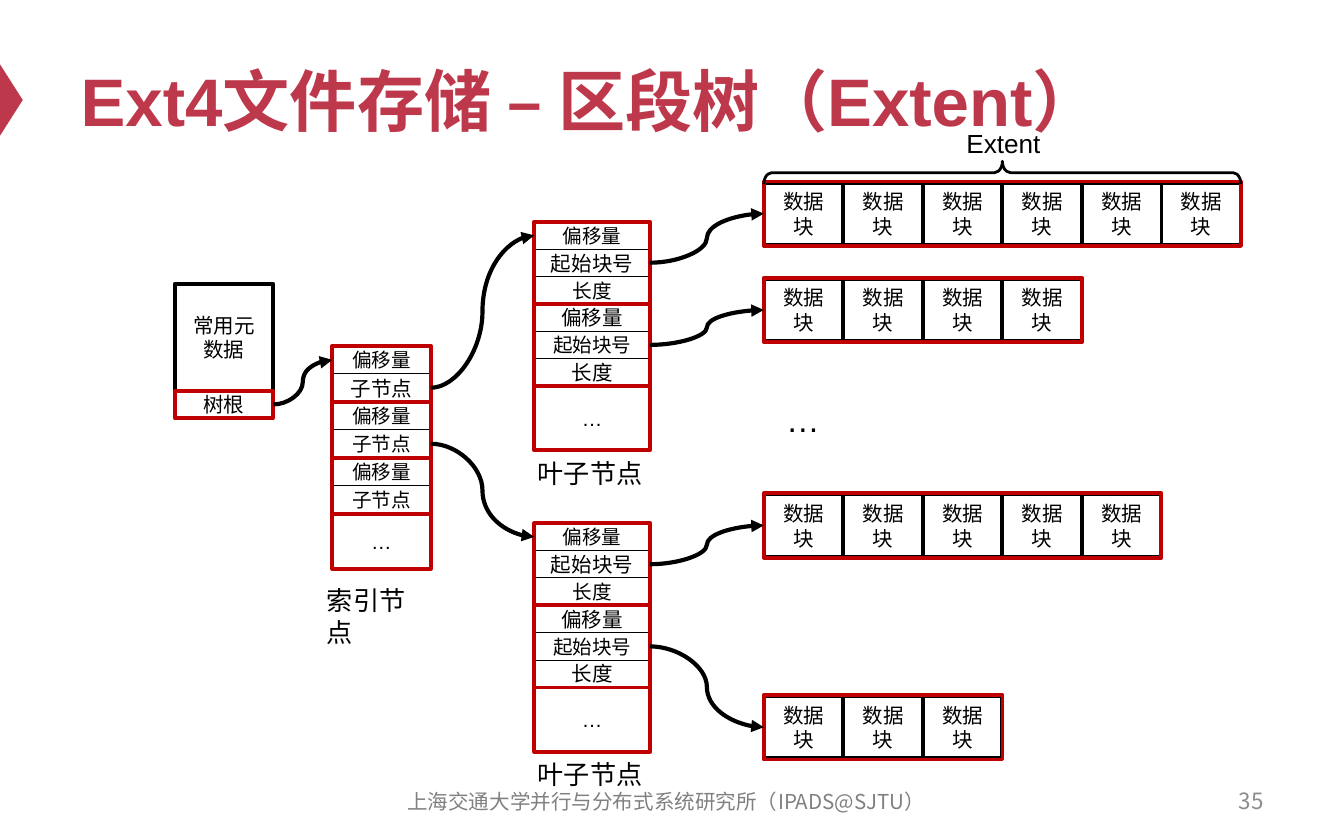
from itertools import cycle, islice
from lxml.etree import SubElement as Sub
from pptx import Presentation
from pptx.dml.color import RGBColor
from pptx.enum.shapes import MSO_CONNECTOR as Link, MSO_SHAPE as Kind
from pptx.enum.text import MSO_ANCHOR as Anchor, MSO_AUTO_SIZE as Fit, PP_ALIGN as Align
from pptx.oxml.ns import qn
from pptx.util import Pt

BLACK, WHITE, RED, BRAND = "000000", "FFFFFF", "C00000", "BE384B"
LATIN, HAN = "Arial", "Noto Sans CJK SC"


def paint(part, color):
    part.solid()
    part.fore_color.rgb = RGBColor.from_string(color)


def write(shape, text, size=11, color=BLACK, bold=False, font=LATIN,
          align=Align.CENTER, anchor=Anchor.MIDDLE, wrap=True, pad=3.6):
    frame = shape.text_frame
    frame.auto_size = Fit.NONE
    frame.word_wrap = wrap
    frame.vertical_anchor = anchor
    frame.margin_left = frame.margin_right = Pt(7.2)
    frame.margin_top = frame.margin_bottom = Pt(pad)
    para = frame.paragraphs[0]
    para.alignment = align
    run = para.add_run()
    run.text = text
    run.font.size = Pt(size)
    run.font.bold = bold
    run.font.name = font
    paint(run.font.fill, color)
    Sub(run.font._element, qn("a:ea"), typeface=HAN)


def label(slide, box, text, **style):
    write(slide.shapes.add_textbox(*map(Pt, box)), text, **style)


def draw(slide, box, kind=Kind.RECTANGLE, fill=None, line=None, width=2):
    shape = slide.shapes.add_shape(kind, *map(Pt, box))
    shape.shadow.inherit = False
    if fill:
        paint(shape.fill, fill)
    else:
        shape.fill.background()
    if line:
        paint(shape.line.fill, line)
        shape.line.width = Pt(width)
    else:
        shape.line.fill.background()
    return shape


def cell(slide, box, text, line=BLACK, width=2, fill=WHITE, **style):
    shape = draw(slide, box, fill=fill, line=line, width=width)
    write(shape, text, pad=0, **style)
    return shape


def join(slide, start, end):
    link = slide.shapes.add_connector(Link.CURVE, 0, 0, 0, 0)
    link.begin_connect(start, 3)
    link.end_connect(end, 1)
    paint(link.line.fill, BLACK)
    link.line.width = Pt(2.25)
    Sub(link.line._get_or_add_ln(), qn("a:tailEnd"), type="triangle")
    Sub(link._element.spPr, qn("a:effectLst"))


def head(slide, box, text):
    x, y, w, h = box
    mark = draw(slide, (-13, 47.5, 38.2, 12.2), Kind.ISOSCELES_TRIANGLE, BRAND)
    mark.rotation = 90
    title = slide.shapes.title
    title.left, title.top, title.width, title.height = map(Pt, box)
    write(title, text, size=36, color=BRAND, bold=True, align=Align.LEFT)


def foot(slide, box):
    x, y, w, h = box
    label(slide, (x, y, 312, h), "上海交通大学并行与分布式系统研究所（IPADS@SJTU）",
          size=11, color="808080", font=HAN)
    label(slide, (x + w - 168, y - 0.7, 168, h), "35",
          size=12, color="8C8C8C", font=HAN, align=Align.RIGHT)


def inode(slide, box):
    x, y, w, h = box
    root = 14.6
    cell(slide, (x, y, w, h - root), "常用元数据")
    return cell(slide, (x, y + h - root, w, root), "树根", line=RED)


def node(slide, box, names, count, rest, sizes):
    x, y, w, h = box
    group = (h - rest) / count
    step = group / len(names)
    total = count * len(names)
    cells = [
        cell(slide, (x, y + i * step, w, step), names[i % len(names)],
             width=0.5, size=size, wrap=False)
        for i, size in enumerate(islice(cycle(sizes), total))
    ]
    for i in range(count):
        draw(slide, (x, y + i * group, w, group), line=RED)
    cell(slide, (x, y + h - rest, w, rest), "…", line=RED, fill=None, wrap=False)
    return cells


def leaf(slide, box):
    x, y, w, h = box
    cells = node(slide, box, ("偏移量", "起始块号", "长度"), 2, 34.5, (10.5, 11))
    label(slide, (x - 5.2, y + h, 70.6, 24.3), "叶子节点", size=14,
          align=Align.LEFT, anchor=Anchor.TOP, wrap=False)
    return cells


def index(slide, box):
    x, y, w, h = box
    cells = node(slide, box, ("偏移量", "子节点"), 3, 29.6,
                 (10.5, 11, 10.5, 10.5, 10.5, 10.5))
    label(slide, (x - 10, y + h + 5, 67.6, 42), "索引节点", size=14,
          align=Align.LEFT, anchor=Anchor.TOP)
    return cells


def extent(slide, box, count):
    x, y, w, h = box
    step = w / count
    cells = [cell(slide, (x + i * step, y + 0.7, step, h - 1.4), "数据块")
             for i in range(count)]
    draw(slide, box, line=RED)
    return cells[0]


def brace(slide, box, text):
    x, y, w, h = box
    turned = (x + (w - h) / 2, y + (h - w) / 2, h, w)
    shape = draw(slide, turned, Kind.RIGHT_BRACE, line=BLACK, width=1.5)
    shape.rotation = 270
    shape.adjustments[0] = 0.347
    label(slide, (x + w / 2 - 26.4, y - 21.6, 68.4, 24.5), text, size=14,
          align=Align.LEFT, anchor=Anchor.TOP)


def main():
    deck = Presentation()
    deck.slide_width, deck.slide_height = Pt(720), Pt(450)
    slide = deck.slides.add_slide(deck.slide_layouts[5])
    head(slide, (36, 18, 648, 70.6), "Ext4文件存储 – 区段树（Extent）")
    foot(slide, (200.9, 417.6, 483.1, 23.8))

    root = inode(slide, (93.6, 152, 52.8, 72))
    inner = index(slide, (178, 185.3, 52.8, 119.5))
    upper, lower = (leaf(slide, (286.2, top, 62, 122.5)) for top in (118.8, 280.3))
    rows = [extent(slide, (409.2, top, count * 42.6, 34.6), count)
            for top, count in ((97.2, 6), (148.8, 4), (264.2, 5), (372.3, 3))]
    brace(slide, (409.2, 86.4, 255.6, 12.2), "Extent")
    label(slide, (414, 210.2, 32.4, 28.8), "…", size=18,
          align=Align.LEFT, anchor=Anchor.TOP, wrap=False)

    join(slide, root, inner[0])
    join(slide, inner[1], upper[0])
    join(slide, inner[3], lower[0])
    starts = [part[i] for part in (upper, lower) for i in (1, 4)]
    for start, row in zip(starts, rows):
        join(slide, start, row)
    deck.save("out.pptx")


if __name__ == "__main__":
    main()
